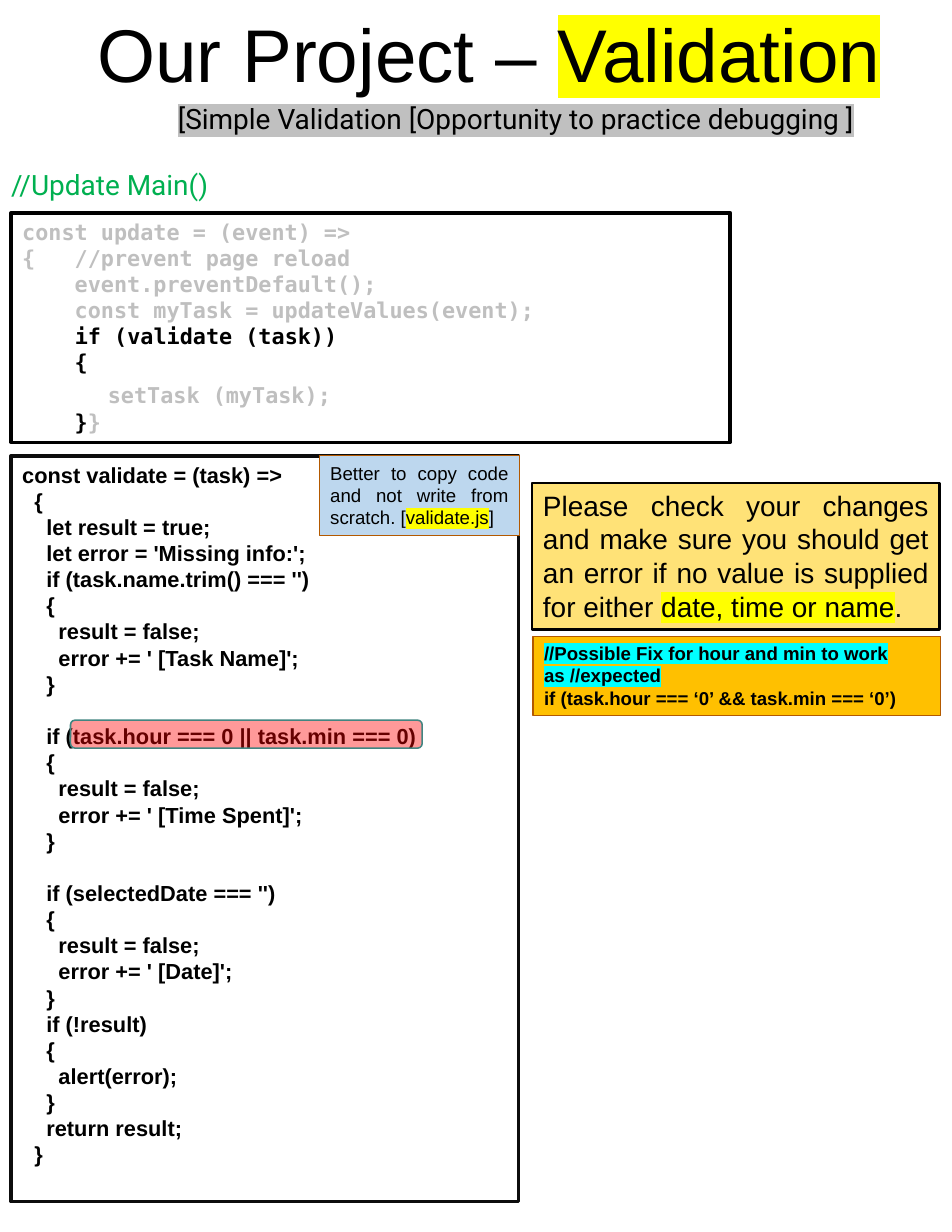
from pptx import Presentation
from pptx.dml.color import RGBColor
from pptx.enum.shapes import MSO_SHAPE
from pptx.enum.text import MSO_ANCHOR, PP_ALIGN
from pptx.oxml.ns import qn
from pptx.util import Inches, Pt
from lxml import etree

RECT, ROUNDED = MSO_SHAPE.RECTANGLE, MSO_SHAPE.ROUNDED_RECTANGLE
TOP = MSO_ANCHOR.TOP
LEFT, CENTER, JUSTIFY = PP_ALIGN.LEFT, PP_ALIGN.CENTER, PP_ALIGN.JUSTIFY
MONO = "DejaVu Sans Mono"
BLACK, GREY, YELLOW = "000000", "BFBFBF", "FFFF00"


def color(value):
    return RGBColor.from_string(value)


def add_text(tf, lines, size, font="Arial", bold=False, align=LEFT):
    """Each line is a list of runs: (text, color, highlight, size and font if they differ)."""
    tf.word_wrap = True
    tf.vertical_anchor = TOP
    gap = 0
    for line in lines:
        if not line:
            gap = 16.8
            continue
        p = tf.paragraphs[0] if line is lines[0] else tf.add_paragraph()
        p.alignment = align
        if gap:
            p.space_before = Pt(gap)
            gap = 0
        for text, fg, highlight, *other in line:
            r = p.add_run()
            r.text = text
            r.font.color.rgb = color(fg)
            if highlight:
                mark = etree.SubElement(r.font._element, qn("a:highlight"))
                etree.SubElement(mark, qn("a:srgbClr"), val=highlight)
            r.font.size, r.font.name = Pt(size), font
            r.font.bold = bold
            if other:
                r.font.size, r.font.name = Pt(other[0]), other[1]
                r.font.bold = False


prs = Presentation()
prs.slide_width, prs.slide_height = Inches(8.5), Inches(11)
s = prs.slides.add_slide(prs.slide_layouts[6])

# Headings
headings = [
    ((0.7, 0.02, 7.33, 0.91), 48, "Arial", CENTER,
     [("Our Project – ", BLACK, None), ("Validation", BLACK, YELLOW)]),
    ((1.49, 0.86, 6.9, 0.4), 18, "Roboto", LEFT,
     [("[Simple Validation [Opportunity to practice debugging ]", BLACK, "C0C0C0")]),
    ((0, 1.45, 5.69, 0.4), 18, "Roboto", LEFT,
     [("//Update Main()", "00B050", None)]),
]
for box, size, font, align, runs in headings:
    tf = s.shapes.add_textbox(*map(Inches, box)).text_frame
    add_text(tf, [runs], size, font, align=align)
    tf.word_wrap = size < 48

# Code and notes
validate_code = """const validate = (task) =>
  {
    let result = true;
    let error = 'Missing info:';
    if (task.name.trim() === '')
    {
      result = false;
      error += ' [Task Name]';
    }

    if (task.hour === 0 || task.min === 0)
    {
      result = false;
      error += ' [Time Spent]';
    }

    if (selectedDate === '')
    {
      result = false;
      error += ' [Date]';
    }
    if (!result)
    {
      alert(error);
    }
    return result;
  }"""
validate_lines = [[(line, BLACK, None)] if line else []
                  for line in validate_code.split("\n")]

update_lines = [
    [("const update = (event) =>", GREY, None)],
    [("{   //prevent page reload", GREY, None)],
    [("    event.preventDefault();", GREY, None)],
    [("    const myTask = updateValues(event);", GREY, None)],
    [("    ", GREY, None), ("if (validate (task))", BLACK, None)],
    [("    {", BLACK, None)],
    [("           ", BLACK, None, 18, "Arial"), ("setTask (myTask);", GREY, None)],
    [("    }", BLACK, None), ("}", GREY, None)],
]
check_lines = [[
    ("Please check your changes and make sure you should get an error "
     "if no value is supplied for either ", BLACK, None),
    ("date, time or name", BLACK, YELLOW),
    (".", BLACK, None),
]]
fix_lines = [
    [("//Possible Fix for hour and min to work as //expected", BLACK, "00FFFF")],
    [("if (task.hour === ‘0’ && task.min === ‘0’)", BLACK, None)],
]
copy_lines = [[
    ("Better to copy code and not write from scratch. [", BLACK, None),
    ("validate.js", BLACK, YELLOW),
    ("]", BLACK, None),
]]

# Box, shape, fill, line color, line width, lines, size, font, bold, alignment
panels = [
    ((0.1, 4.07, 4.53, 6.66), RECT, None, "0D0D0D", 2.25,
     validate_lines, 14, "Arial", True, LEFT),
    ((4.75, 4.31, 3.64, 1.31), RECT, "FFE277", BLACK, 1.5,
     check_lines, 18, "Arial", False, JUSTIFY),
    ((4.76, 5.68, 3.64, 0.71), RECT, "FFC000", "B35900", 0.75,
     fix_lines, 12, "Arial", True, LEFT),
    ((0.1, 1.9, 6.42, 2.05), RECT, None, BLACK, 2.25,
     update_lines, 14, MONO, True, LEFT),
    ((0.63, 6.43, 3.14, 0.25), ROUNDED, "FF0000", "418581", 1,
     [], 14, "Arial", False, LEFT),
    ((2.85, 4.07, 1.79, 0.71), RECT, "BDD7EE", "B35900", 0.75,
     copy_lines, 12, "Arial", False, JUSTIFY),
]
for box, kind, fill, line, width, lines, size, font, bold, align in panels:
    sp = s.shapes.add_shape(kind, *map(Inches, box))
    sp.shadow.inherit = False
    sp.line.color.rgb = color(line)
    sp.line.width = Pt(width)
    if fill:
        sp.fill.solid()
        sp.fill.fore_color.rgb = color(fill)
    else:
        sp.fill.background()
    if kind == ROUNDED:
        tint = sp._element.spPr.find(qn("a:solidFill"))[0]
        etree.SubElement(tint, qn("a:alpha"), val="40000")
    add_text(sp.text_frame, lines, size, font, bold, align)

prs.save("out.pptx")
